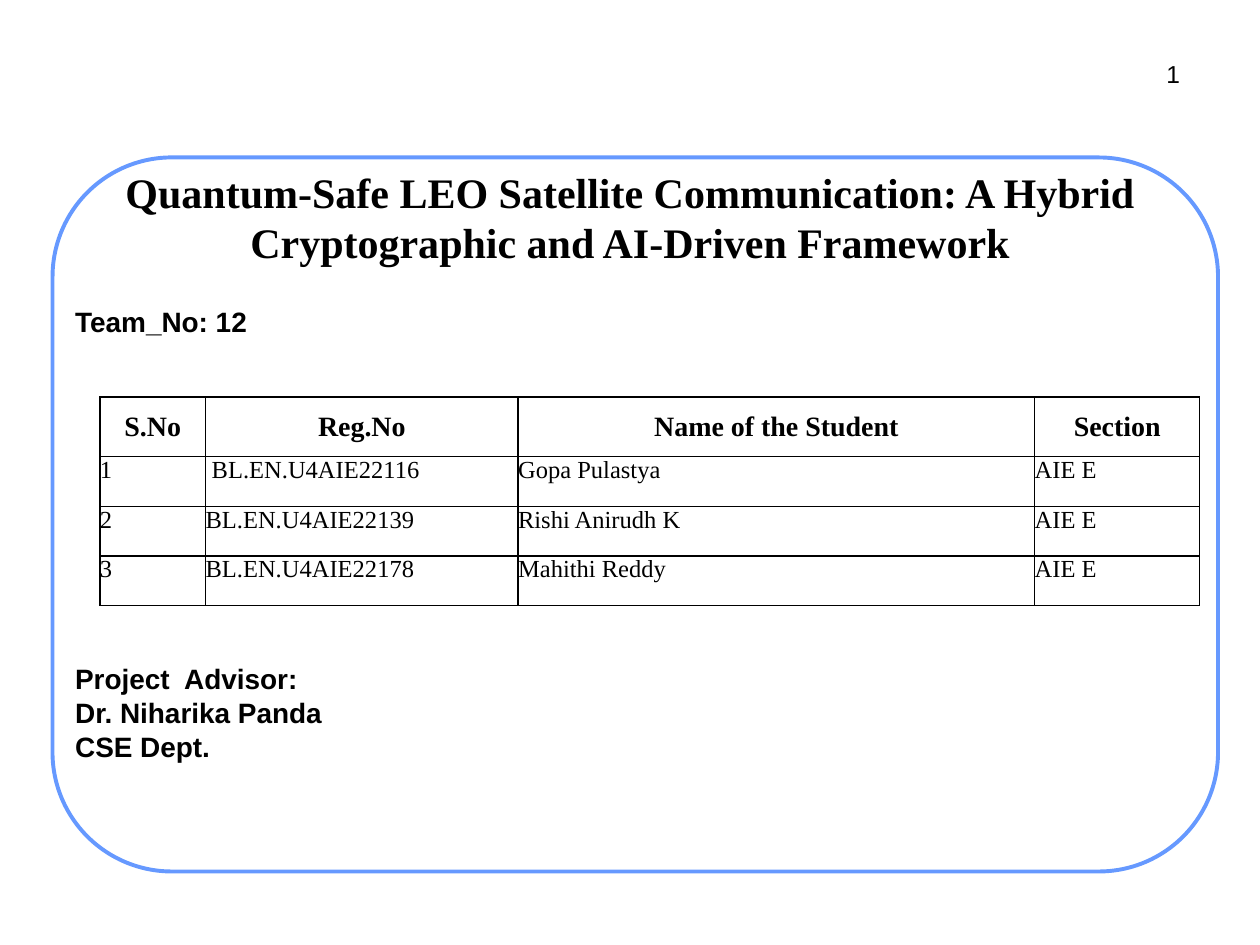
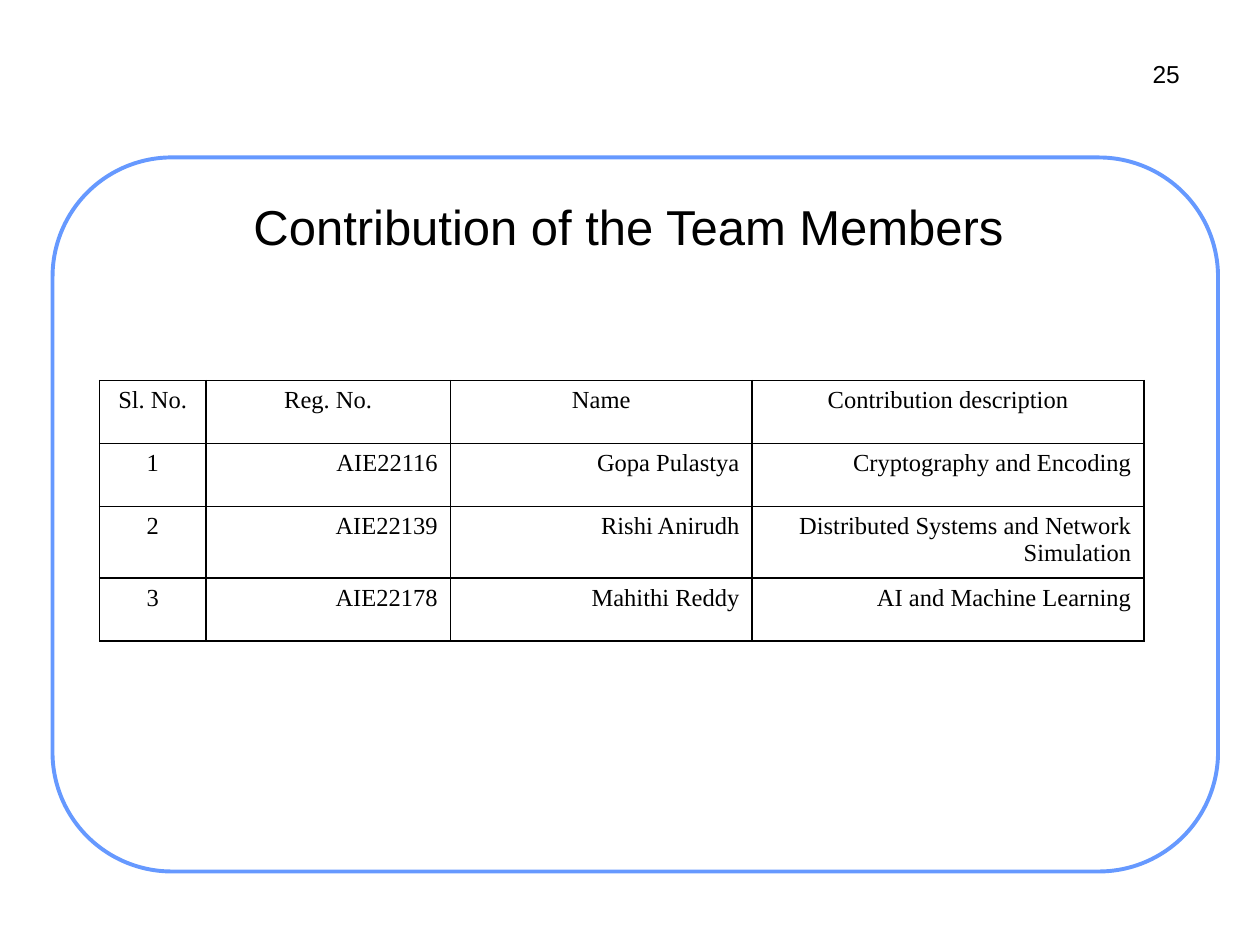
import dataclasses

import lxml.etree
import pptx
import pptx.dml.color
import pptx.enum.shapes
import pptx.enum.text
import pptx.oxml.ns
import pptx.util

BLACK = pptx.dml.color.RGBColor(0x00, 0x00, 0x00)
WHITE = pptx.dml.color.RGBColor(0xFF, 0xFF, 0xFF)
FRAME_BLUE = pptx.dml.color.RGBColor(0x66, 0x99, 0xFF)

SANS = "Arial"
SERIF = "Times New Roman"

LEFT = pptx.enum.text.PP_ALIGN.LEFT
CENTER = pptx.enum.text.PP_ALIGN.CENTER
RIGHT = pptx.enum.text.PP_ALIGN.RIGHT
TOP = pptx.enum.text.MSO_ANCHOR.TOP
MIDDLE = pptx.enum.text.MSO_ANCHOR.MIDDLE

# The slide is a grid of 100 columns by 75 rows of square units
COLUMNS, ROWS = 100, 75
UNIT = pptx.util.Inches(0.1)


@dataclasses.dataclass
class Box:
    """A region of the slide, measured in grid units."""
    left: float
    top: float
    width: float
    height: float

    def inside(self, left, top, width, height):
        return Box(self.left + left, self.top + top, width, height)

    def lengths(self):
        return [length(value) for value in (self.left, self.top, self.width, self.height)]


PAGE = Box(0, 0, COLUMNS, ROWS)
PANEL = PAGE.inside(4.17, 12.5, 92.5, 56.67)


def length(units):
    return pptx.util.Emu(round(units * UNIT))


def set_insets(target, horizontal, vertical):
    target.margin_left = target.margin_right = length(horizontal)
    target.margin_top = target.margin_bottom = length(vertical)


def write(paragraph, text, font, size, bold=False, alignment=LEFT):
    paragraph.alignment = alignment
    run = paragraph.add_run()
    run.text = text
    run.font.name = font
    run.font.size = pptx.util.Pt(size)
    run.font.bold = bold
    run.font.color.rgb = BLACK


def add_text_box(slide, box, wrap=True):
    text_frame = slide.shapes.add_textbox(*box.lengths()).text_frame
    text_frame.word_wrap = wrap
    set_insets(text_frame, 0.5, 0.5)
    return text_frame


# Shared parts
def prepare_layout(layout, slide, box):
    """Keep only the layout's title and put the rounded frame behind it."""
    for placeholder in list(layout.placeholders):
        if placeholder.placeholder_format.idx != 0:
            layout.shapes.element.remove(placeholder.element)

    frame = slide.shapes.add_shape(
        pptx.enum.shapes.MSO_SHAPE.ROUNDED_RECTANGLE, *box.lengths())
    frame.adjustments[0] = 0.167
    frame.shadow.inherit = False
    frame.fill.solid()
    frame.fill.fore_color.rgb = WHITE
    frame.line.color.rgb = FRAME_BLUE
    frame.line.width = pptx.util.Pt(2.25)
    layout.shapes.element.insert(2, frame.element)


def add_page_number(slide, number):
    text = str(number)
    width = 1.1 * (len(text) + 1)
    box = PAGE.inside(94.15 - width, 4.2, width, 3.2)
    text_frame = add_text_box(slide, box, wrap=False)
    write(text_frame.paragraphs[0], text, SANS, 14, alignment=RIGHT)


def set_title(slide, box, text, font, size, bold=False):
    title = slide.shapes.title
    title.left, title.top, title.width, title.height = box.lengths()
    text_frame = title.text_frame
    text_frame.word_wrap = True
    text_frame.auto_size = pptx.enum.text.MSO_AUTO_SIZE.NONE
    text_frame.vertical_anchor = MIDDLE
    set_insets(text_frame, 0.5, 0.5)
    write(text_frame.paragraphs[0], text, font, size, bold, CENTER)


# Tables
def draw_borders(cell):
    properties = cell._tc.get_or_add_tcPr()
    for side in ("lnL", "lnR", "lnT", "lnB"):
        line = lxml.etree.SubElement(
            properties, pptx.oxml.ns.qn(f"a:{side}"), w=str(pptx.util.Pt(1)))
        fill = lxml.etree.SubElement(line, pptx.oxml.ns.qn("a:solidFill"))
        lxml.etree.SubElement(fill, pptx.oxml.ns.qn("a:srgbClr"), val=str(BLACK))


def add_grid_table(slide, box, widths, heights, rows, alignments, insets,
                   header_size=14, header_bold=False, header_anchor=TOP):
    table = slide.shapes.add_table(len(rows), len(widths), *box.lengths()).table
    table.first_row = False
    table.horz_banding = False
    for column, width in zip(table.columns, widths):
        column.width = length(width)
    for row, height in zip(table.rows, heights):
        row.height = length(height)

    for row_index, texts in enumerate(rows):
        is_header = row_index == 0
        for column_index, text in enumerate(texts):
            cell = table.cell(row_index, column_index)
            draw_borders(cell)
            cell.fill.background()
            set_insets(cell, *insets)
            cell.vertical_anchor = header_anchor if is_header else TOP
            write(cell.text_frame.paragraphs[0], text, SERIF,
                  header_size if is_header else 14,
                  header_bold and is_header,
                  CENTER if is_header else alignments[column_index])


# Cover slide
def add_team_and_advisor(slide, box):
    text_frame = add_text_box(slide, box)
    # Each line with the space before it; the table sits in the large gap
    lines = [
        ("Team_No: 12", 4),
        ("Project  Advisor:", 188.7),
        ("Dr. Niharika Panda", 4),
        ("CSE Dept.", 4),
    ]
    for index, (text, space) in enumerate(lines):
        paragraph = text_frame.add_paragraph() if index else text_frame.paragraphs[0]
        paragraph.line_spacing = 0.8
        paragraph.space_before = pptx.util.Pt(space)
        write(paragraph, text, SANS, 16, bold=True)


def fill_cover(slide, box):
    add_page_number(slide, 1)
    set_title(slide, box.inside(3.73, -0.3, 84.2, 10),
              "Quantum-Safe LEO Satellite Communication: "
              "A Hybrid Cryptographic and AI-Driven Framework",
              SERIF, 24, bold=True)
    add_team_and_advisor(slide, box.inside(1.3, 11.7, 87.6, 38.9))
    students = [
        ("S.No", "Reg.No", "Name of the Student", "Section"),
        ("1", " BL.EN.U4AIE22116", "Gopa Pulastya", "AIE E"),
        ("2", "BL.EN.U4AIE22139", "Rishi Anirudh K", "AIE E"),
        ("3", "BL.EN.U4AIE22178", "Mahithi Reddy", "AIE E"),
    ]
    add_grid_table(slide, box.inside(3.75, 19, 87.3, 16.57),
                   widths=[8.4, 24.8, 41, 13.1],
                   heights=[4.75] + [3.94] * 3,
                   rows=students, alignments=[LEFT] * 4, insets=(0, 0),
                   header_size=16, header_bold=True, header_anchor=MIDDLE)


# Contribution slide
def fill_contributions(slide, box):
    add_page_number(slide, 25)
    set_title(slide, box.inside(0.7, -0.1, 90, 11),
              "Contribution of the Team Members", SANS, 28)
    contributions = [
        ("Sl. No.", "Reg. No.", "Name", "Contribution description"),
        ("1", "AIE22116", "Gopa Pulastya", "Cryptography and Encoding"),
        ("2", "AIE22139", "Rishi Anirudh",
         "Distributed Systems and Network Simulation"),
        ("3", "AIE22178", "Mahithi Reddy", "AI and Machine Learning"),
    ]
    # The third row holds two lines of text
    add_grid_table(slide, box.inside(3.73, 17.7, 82.9, 20.33),
                   widths=[8.45, 19.4, 23.95, 31.1],
                   heights=[5, 5, 5.33, 5],
                   rows=contributions,
                   alignments=[CENTER, RIGHT, RIGHT, RIGHT], insets=(1, 0.5))


def main():
    presentation = pptx.Presentation()
    presentation.slide_width = length(COLUMNS)
    presentation.slide_height = length(ROWS)
    layout = presentation.slide_layouts.get_by_name("Title Only")

    cover = presentation.slides.add_slide(layout)
    prepare_layout(layout, cover, PANEL)
    fill_cover(cover, PANEL)
    fill_contributions(presentation.slides.add_slide(layout), PANEL)

    presentation.save("out.pptx")


if __name__ == "__main__":
    main()
